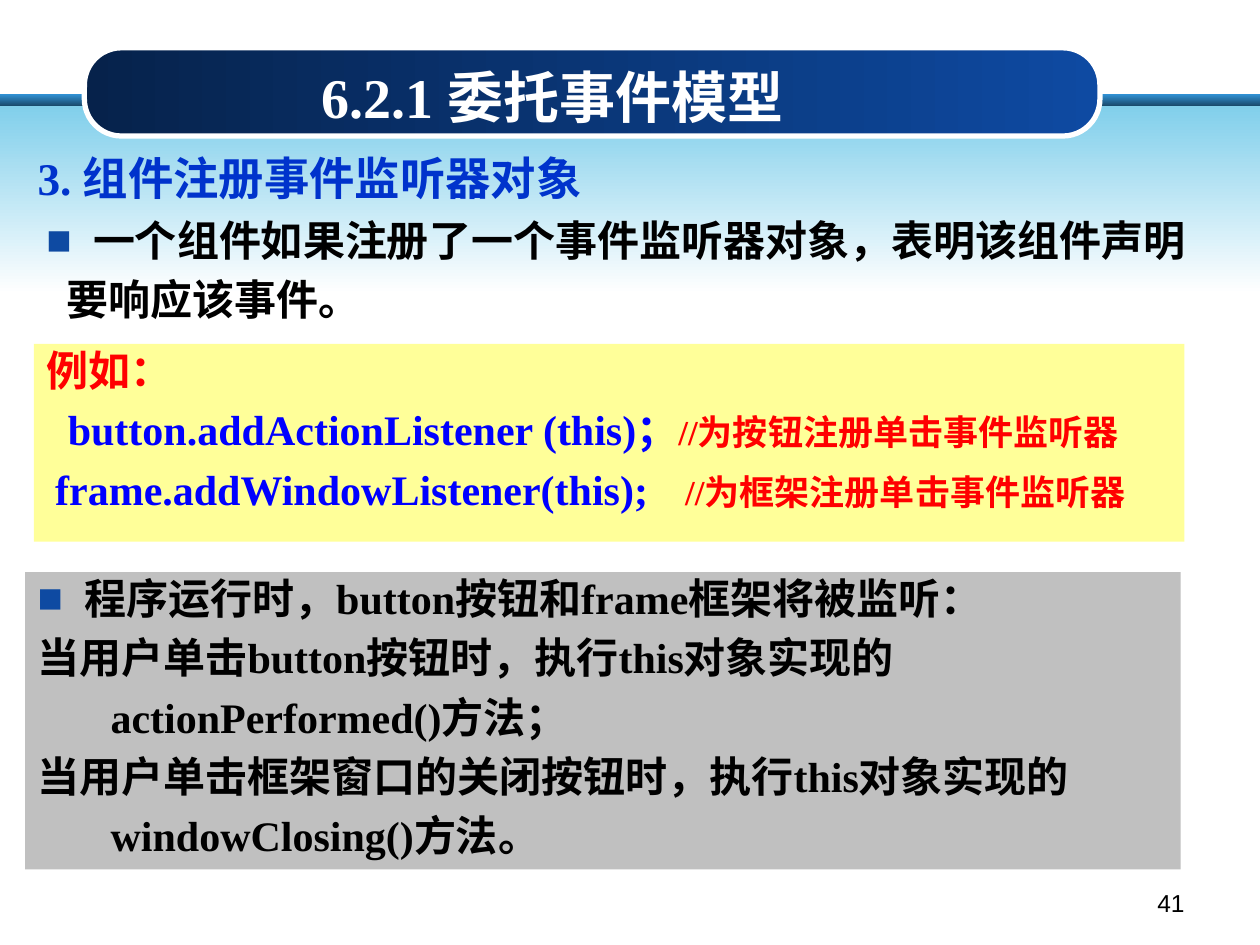
from pptx import Presentation
from pptx.dml.color import RGBColor
from pptx.enum.shapes import MSO_SHAPE
from pptx.enum.text import MSO_ANCHOR, PP_ALIGN
from pptx.oxml.ns import qn
from pptx.util import Inches, Pt
from lxml import etree

SERIF, SANS, HAN = "Times New Roman", "Arial", "Noto Sans CJK SC"
BLACK, WHITE, RED, BLUE = "000000", "FFFFFF", "FF0000", "0000FF"
MARK = "0E4AA2"
HANG = 0.37


def color(code):
    return RGBColor.from_string(code)


def add_box(slide, box, kind=MSO_SHAPE.RECTANGLE, fill=None, grad=None, angle=0):
    """Shape with a plain or two-stop gradient fill and no line."""
    shape = slide.shapes.add_shape(kind, *map(Inches, box))
    shape.shadow.inherit = False
    shape.line.fill.background()
    if grad:
        shape.fill.gradient()
        shape.fill.gradient_angle = angle
        for stop, code in zip(shape.fill.gradient_stops, grad):
            stop.color.rgb = color(code)
    else:
        shape.fill.solid()
        shape.fill.fore_color.rgb = color(fill)
    return shape


def add_label(slide, box):
    return slide.shapes.add_textbox(*map(Inches, box))


def add_mark(props):
    """Square bullet."""
    clr = etree.SubElement(props, qn("a:buClr"))
    etree.SubElement(clr, qn("a:srgbClr"), val=MARK)
    etree.SubElement(props, qn("a:buFont"), typeface=SANS)
    etree.SubElement(props, qn("a:buChar"), char="■")


def add_tab(props, pos):
    tabs = etree.SubElement(props, qn("a:tabLst"))
    etree.SubElement(tabs, qn("a:tab"), pos=str(Inches(pos)), algn="l")


def add_run(para, text, size=24, ink=BLACK, name=SERIF, bold=True):
    run = para.add_run()
    run.text = text
    for key, value in dict(size=Pt(size), name=name, bold=bold).items():
        setattr(run.font, key, value)
    run.font.color.rgb = color(ink)
    etree.SubElement(run.font._element, qn("a:ea"), typeface=HAN)


def fill_text(shape, lines, space=0.9, align=PP_ALIGN.LEFT, anchor=MSO_ANCHOR.TOP):
    """Each line is a dict: runs, and perhaps left, mark and tab."""
    frame = shape.text_frame
    frame.word_wrap = True
    frame.vertical_anchor = anchor
    for i, line in enumerate(lines):
        para = frame.add_paragraph() if i else frame.paragraphs[0]
        para.alignment = align
        para.line_spacing = space
        if i:
            para.space_before = Pt(8)
        props = para._p.get_or_add_pPr()
        mark = line.get("mark")
        props.set("marL", str(Inches(HANG if mark else line.get("left", 0))))
        props.set("indent", str(Inches(-HANG if mark else 0)))
        if mark:
            add_mark(props)
        if "tab" in line:
            add_tab(props, line["tab"])
        for run in line["runs"]:
            add_run(para, **run)


def banner(slide, box):
    """Stripe, sky fade and rounded title bar."""
    left, top, width, height = box
    add_box(slide, (0, top + 0.37, 10, 0.1), grad=("3191D3", "174362"), angle=270)
    add_box(slide, (0, top + 0.46, 10, 1.49), grad=("81CFEB", WHITE), angle=270)
    bar = add_box(slide, box, MSO_SHAPE.ROUNDED_RECTANGLE, grad=("06224B", MARK))
    bar.adjustments[0] = 0.42
    bar.line.color.rgb = color(WHITE)
    bar.line.width = Pt(3)
    title = add_label(slide, (left + 0.55, top - 0.02, 7.01, 0.72))
    runs = [dict(text="6.2.1\t委托事件模型", size=32, ink=WHITE)]
    fill_text(title, [dict(runs=runs, left=1.23, tab=2.57)], 1,
              anchor=MSO_ANCHOR.BOTTOM)


def heading(slide, box):
    runs = [dict(text="3. 组件注册事件监听器对象", size=25.9, ink="0033CC")]
    fill_text(add_label(slide, box), [dict(runs=runs)], 0.8)


def intro(slide, box):
    fill_text(add_label(slide, box), [
        dict(runs=[dict(text="一个组件如果注册了一个事件监听器对象，表明该组件声明")],
             mark=True),
        dict(runs=[dict(text="要响应该事件。")], left=0.16),
    ])


def example(slide, box):
    """Code lines with comments on yellow."""
    def code(text, note, **place):
        return dict(runs=[dict(text=text, ink=BLUE),
                          dict(text=note, size=20, ink=RED)], **place)

    fill_text(add_box(slide, box, fill="FFFF99"), [
        dict(runs=[dict(text="例如：", ink=RED)]),
        code("button.addActionListener (this)；", "//为按钮注册单击事件监听器",
             left=0.17),
        code("frame.addWindowListener(this);\t", "//为框架注册单击事件监听器",
             left=0.07, tab=4.94),
    ])


def result(slide, box):
    """What happens at run time, on grey."""
    lines = [
        ("程序运行时，button按钮和frame框架将被监听：", dict(mark=True)),
        ("当用户单击button按钮时，执行this对象实现的", {}),
        ("actionPerformed()方法；", dict(left=0.58)),
        ("当用户单击框架窗口的关闭按钮时，执行this对象实现的", {}),
        ("windowClosing()方法。", dict(left=0.58)),
    ]
    fill_text(add_box(slide, box, fill="C0C0C0"),
              [dict(runs=[dict(text=text)], **place) for text, place in lines])


def number(slide, box):
    runs = [dict(text="41", size=14, name=SANS, bold=False)]
    fill_text(add_label(slide, box), [dict(runs=runs)], 1, PP_ALIGN.RIGHT)


def main():
    deck = Presentation()
    deck.slide_width, deck.slide_height = Inches(10), Inches(7.5)
    slide = deck.slides.add_slide(deck.slide_layouts[6])
    banner(slide, (0.67, 0.38, 8.06, 0.7))
    intro(slide, (0.27, 1.7, 9.37, 0.94))
    result(slide, (0.2, 4.54, 9.17, 2.36))
    example(slide, (0.27, 2.73, 9.13, 1.57))
    heading(slide, (0.2, 1.23, 4.96, 0.47))
    number(slide, (7.17, 7, 2.33, 0.35))
    deck.save("out.pptx")


if __name__ == "__main__":
    main()
